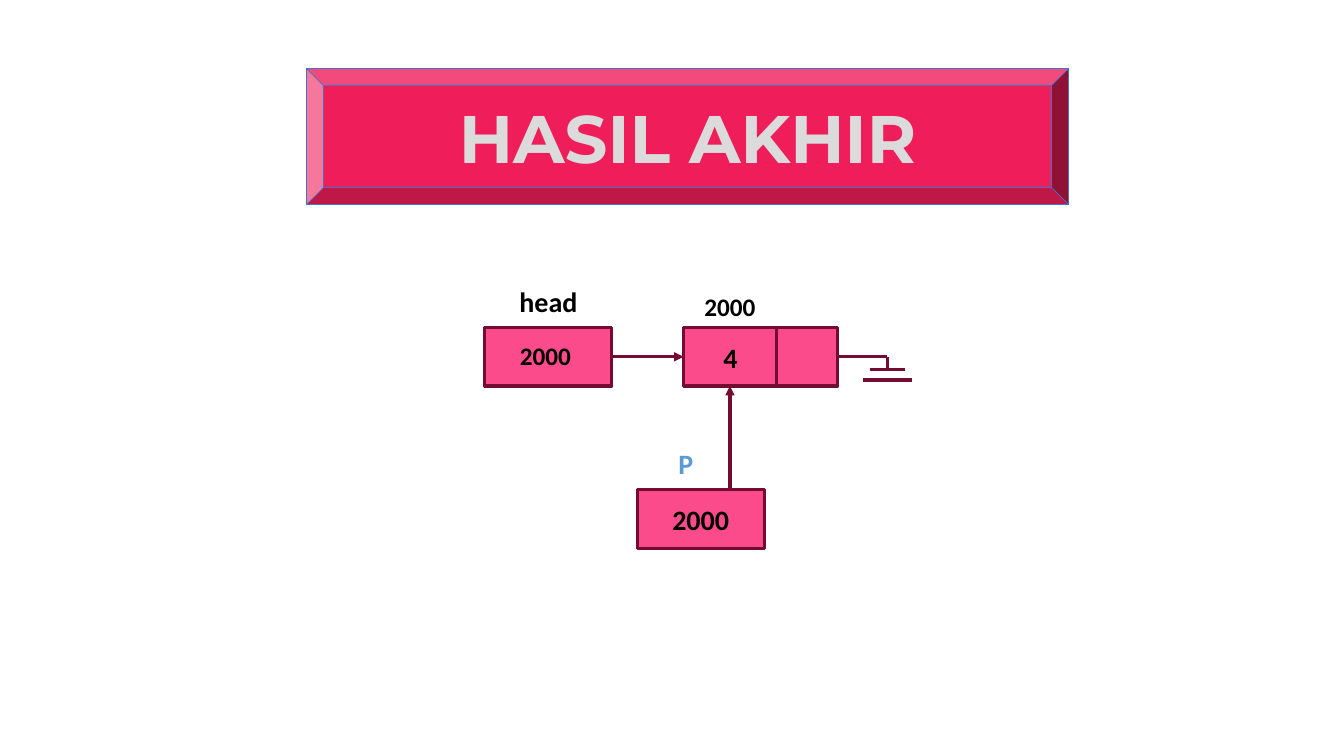
from lxml import etree
from pptx import Presentation
from pptx.dml.color import RGBColor
from pptx.enum.dml import MSO_PATTERN
from pptx.enum.shapes import MSO_CONNECTOR, MSO_SHAPE
from pptx.enum.text import MSO_ANCHOR, PP_ALIGN
from pptx.oxml.ns import qn
from pptx.util import Inches, Pt

RECTANGLE, BEVEL = MSO_SHAPE.RECTANGLE, MSO_SHAPE.BEVEL
STRAIGHT = MSO_CONNECTOR.STRAIGHT
LEFT, CENTER = PP_ALIGN.LEFT, PP_ALIGN.CENTER
TOP, MIDDLE = MSO_ANCHOR.TOP, MSO_ANCHOR.MIDDLE
NARROW_STRIPES = MSO_PATTERN.NARROW_HORIZONTAL

BLACK = RGBColor(0x00, 0x00, 0x00)
PINK = RGBColor(0xFB, 0x4B, 0x8A)
MAROON = RGBColor(0x73, 0x0B, 0x33)
CRIMSON = RGBColor(0xEF, 0x1D, 0x59)
BLUE = RGBColor(0x44, 0x72, 0xC4)
LIGHT_BLUE = RGBColor(0x5B, 0x9B, 0xD5)
GRAY = RGBColor(0xA5, 0xA5, 0xA5)
LIGHT_GRAY = RGBColor(0xDB, 0xDB, 0xDB)
DARK_GRAY = RGBColor(0x52, 0x52, 0x52)

NODE_HEIGHT = 0.58
POINTER_WIDTH = 1.26
ROW_TOP, ROW_MIDDLE = 3.25, 3.54


def write_text(box, text, size=20, font="Calibri", color=BLACK, align=CENTER,
               anchor=MIDDLE, wrap=True, spacing=None):
    """Put one bold line of text in a box and return its run."""
    frame = box.text_frame
    frame.word_wrap = wrap
    frame.vertical_anchor = anchor
    para = frame.paragraphs[0]
    para.alignment = align
    if spacing:
        para.line_spacing = spacing
    span = para.add_run()
    span.text = text
    span.font.name = font
    span.font.size = Pt(size)
    span.font.bold = True
    span.font.color.rgb = color
    return span


class Diagram:
    def __init__(self, page):
        self.page = page
        self.line_width = 2.25

    def shape(self, left, top, width, height, kind=RECTANGLE, fill=PINK,
              line=MAROON, line_width=None):
        box = self.page.shapes.add_shape(
            kind, Inches(left), Inches(top), Inches(width), Inches(height))
        box.shadow.inherit = False
        box.fill.solid()
        box.fill.fore_color.rgb = fill
        if line is None:
            box.line.fill.background()
        else:
            box.line.color.rgb = line
            box.line.width = Pt(line_width or self.line_width)
        return box

    def node(self, left, top, width, text=None):
        box = self.shape(left, top, width, NODE_HEIGHT)
        if text:
            write_text(box, text)

    def label(self, left, top, width, height, text, **style):
        box = self.page.shapes.add_textbox(
            Inches(left), Inches(top), Inches(width), Inches(height))
        write_text(box, text, anchor=TOP, **style)

    def line(self, x1, y1, x2, y2, arrow=False):
        link = self.page.shapes.add_connector(
            STRAIGHT, Inches(x1), Inches(y1), Inches(x2), Inches(y2))
        link.line.color.rgb = MAROON
        link.line.width = Pt(self.line_width)
        if arrow:
            etree.SubElement(link.line._get_or_add_ln(), qn("a:tailEnd"), type="triangle")
        etree.SubElement(link._element.spPr, qn("a:effectLst"))

    def banner(self, left, top, width, height, text):
        box = self.shape(left, top, width, height, BEVEL, CRIMSON, BLUE, 0.5)
        span = write_text(box, text, size=48, font="Montserrat")
        pattern = span.font.fill
        pattern.patterned()
        pattern.pattern = NARROW_STRIPES
        pattern.fore_color.rgb = GRAY
        pattern.back_color.rgb = LIGHT_GRAY
        # Thin outline around the letters
        outline = etree.Element(qn("a:ln"), w=str(Pt(1)))
        fill = etree.SubElement(outline, qn("a:solidFill"))
        etree.SubElement(fill, qn("a:srgbClr"), val=str(DARK_GRAY))
        span.font._element.insert(0, outline)


def main():
    deck = Presentation()
    deck.slide_width, deck.slide_height = Inches(13.33), Inches(7.5)
    diagram = Diagram(deck.slides.add_slide(deck.slide_layouts[6]))

    # Title
    diagram.banner(3.04, 0.68, 7.56, 1.35, "HASIL AKHIR")

    # Pointer P
    diagram.node(6.32, 4.86, POINTER_WIDTH, "2000")
    diagram.label(6.63, 4.42, 0.65, 0.44, "P", color=LIGHT_BLUE, align=LEFT, spacing=0.9)
    diagram.line(7.24, 4.86, 7.24, ROW_TOP + NODE_HEIGHT, arrow=True)

    # List node: value and next field
    diagram.node(6.78, ROW_TOP, 0.93, "4")
    diagram.node(7.7, ROW_TOP, 0.61)
    diagram.label(6.86, 2.84, 0.76, 0.4, "2000", size=18, wrap=False)

    # Null symbol
    for ends in ((8.31, ROW_MIDDLE, 8.8, ROW_MIDDLE), (8.8, ROW_MIDDLE, 8.8, 3.67),
                 (8.63, 3.67, 8.98, 3.67), (8.56, 3.77, 9.05, 3.77)):
        diagram.line(*ends)

    # Head pointer
    diagram.node(4.81, ROW_TOP, POINTER_WIDTH)
    diagram.label(4.84, 2.81, 1.2, 0.44, "head", spacing=0.9)
    address = diagram.shape(5.03, 3.33, 0.76, 0.4, line=None)
    write_text(address, "2000", size=18, wrap=False)
    diagram.line(4.81 + POINTER_WIDTH, ROW_MIDDLE, 6.78, ROW_MIDDLE, arrow=True)

    deck.save("out.pptx")


if __name__ == "__main__":
    main()
